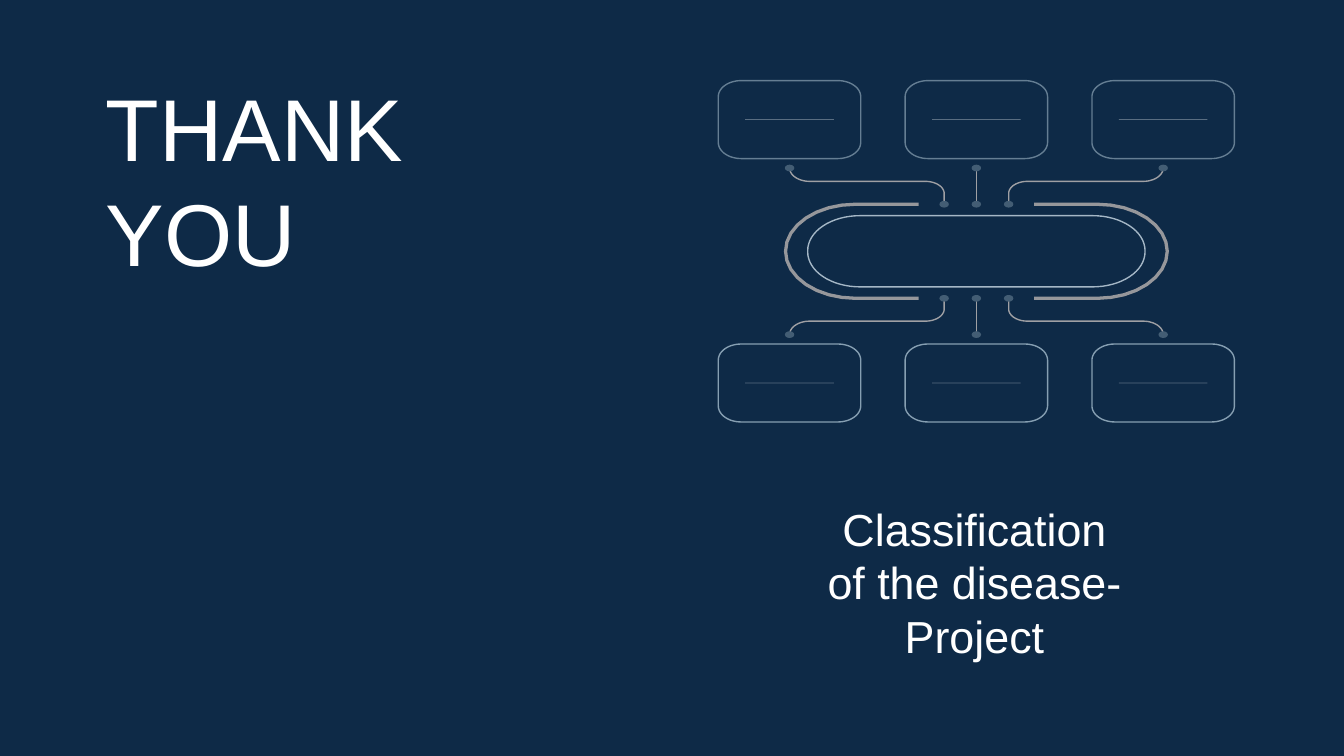
from math import cos, radians, sin

from lxml.etree import SubElement
from pptx import Presentation
from pptx.dml.color import RGBColor
from pptx.enum.shapes import MSO_CONNECTOR, MSO_SHAPE
from pptx.enum.text import MSO_ANCHOR, MSO_AUTO_SIZE, PP_ALIGN
from pptx.oxml.ns import qn
from pptx.util import Inches, Pt

COLORS = {
    "background": "0E2A47",
    "text": "FFFFFF",
    "pill": "A5B7C6",
    "bracket": "96979B",
    "link": "9FA0A4",
    "dot": "435D74",
    "top_box": "657E93",
    "bottom_box": "869FB2",
    "divider": "E3E9ED",
}
CENTER_X, CENTER_Y = 7.265, 1.87
COLUMN_STEP = 1.39
BOX_W, BOX_H = 1.06, 0.58
BOX_OFFSET = 0.98
INNER_DOT_X, INNER_DOT_Y, OUTER_DOT_Y = 0.24, 0.35, 0.62


def color(name):
    return RGBColor.from_string(COLORS[name])


def arc(cx, cy, rx, ry, start, end, steps=16):
    """Return points along an elliptical arc, with angles in degrees."""
    angles = [radians(start + (end - start) * i / steps) for i in range(steps + 1)]
    return [(cx + rx * cos(a), cy + ry * sin(a)) for a in angles]


def add_outline(shapes, points, line, width=0.75, close=False):
    """Draw an unfilled line through points measured from the diagram centre."""
    pts = [(Inches(CENTER_X + x), Inches(CENTER_Y + y)) for x, y in points]
    builder = shapes.build_freeform(*pts[0], scale=1.0)
    builder.add_line_segments(pts[1:], close=close)
    s = builder.convert_to_shape()
    s.shadow.inherit = False
    s.fill.background()
    s.line.color.rgb = color(line)
    s.line.width = Pt(width)


def add_rounded_box(shapes, x, y, w, h, rx, ry, line):
    """Draw a box centred on x, y with elliptical corners."""
    dx, dy = w / 2 - rx, h / 2 - ry
    corners = [(dx, dy), (-dx, dy), (-dx, -dy), (dx, -dy)]
    points = []
    for i, (cx, cy) in enumerate(corners):
        points += arc(x + cx, y + cy, rx, ry, 90 * i, 90 * (i + 1))
    add_outline(shapes, points, line, close=True)


def add_vertical_link(shapes, row):
    x = Inches(CENTER_X)
    c = shapes.add_connector(
        MSO_CONNECTOR.STRAIGHT,
        x, Inches(CENTER_Y + row * INNER_DOT_Y),
        x, Inches(CENTER_Y + row * OUTER_DOT_Y))
    c.line.color.rgb = color("link")
    c.line.width = Pt(0.6)
    SubElement(c._element.spPr, qn("a:effectLst"))


def add_filled(shapes, kind, x, y, w, h, fill):
    """Add a borderless preset shape centred on x, y."""
    s = shapes.add_shape(
        kind, Inches(CENTER_X + x - w / 2), Inches(CENTER_Y + y - h / 2),
        Inches(w), Inches(h))
    s.shadow.inherit = False
    s.fill.solid()
    s.fill.fore_color.rgb = color(fill)
    s.line.fill.background()


def add_dot(shapes, x, y):
    add_filled(shapes, MSO_SHAPE.OVAL, x, y, 0.07, 0.05, "dot")


def add_bracket(shapes, side):
    points = [(0.43, 0.35), *arc(0.9, 0, 0.52, 0.35, 90, -90), (0.43, -0.35)]
    add_outline(shapes, [(side * x, y) for x, y in points], "bracket", 1.75)


def add_link(shapes, column, row):
    """Link the centre to the box in column -1, 0 or 1 and row -1 or 1."""
    if column:
        points = [
            *arc(COLUMN_STEP - 0.15, OUTER_DOT_Y, 0.15, 0.1, 0, -90),
            *arc(INNER_DOT_X + 0.14, 0.43, 0.14, 0.09, 90, 180),
            (INNER_DOT_X, INNER_DOT_Y),
        ]
        add_outline(shapes, [(column * x, row * y) for x, y in points], "link")
    else:
        add_vertical_link(shapes, row)
    add_dot(shapes, column * INNER_DOT_X, row * INNER_DOT_Y)
    add_dot(shapes, column * COLUMN_STEP, row * OUTER_DOT_Y)


def add_diagram(slide):
    shapes = slide.shapes.add_group_shape().shapes
    add_rounded_box(shapes, 0, 0, 2.51, 0.53, 0.39, 0.26, "pill")
    for side in (-1, 1):
        add_bracket(shapes, side)
    for row, line in ((-1, "top_box"), (1, "bottom_box")):
        y = row * BOX_OFFSET
        for column in (-1, 0, 1):
            x = column * COLUMN_STEP
            add_link(shapes, column, row)
            add_rounded_box(shapes, x, y, BOX_W, BOX_H, 0.17, 0.12, line)
            add_filled(shapes, MSO_SHAPE.RECTANGLE, x, y, 0.66, Pt(0.2).inches,
                       "divider")


def set_text(s, text, size, align):
    tf = s.text_frame
    tf.text = text
    tf.word_wrap = True
    tf.auto_size = MSO_AUTO_SIZE.NONE
    tf.vertical_anchor = MSO_ANCHOR.TOP
    tf.margin_left = tf.margin_right = Inches(0.1)
    tf.margin_top = tf.margin_bottom = Inches(0.1)
    for p in tf.paragraphs:
        p.alignment = align
        p.line_spacing = 1.0
        for r in p.runs:
            r.font.name = "Arial"
            r.font.size = Pt(size)
            r.font.color.rgb = color("text")


def main():
    prs = Presentation()
    prs.slide_width = Inches(10)
    prs.slide_height = prs.slide_width * 9 // 16
    slide = prs.slides.add_slide(prs.slide_layouts[5])
    slide.background.fill.solid()
    slide.background.fill.fore_color.rgb = color("background")

    title = slide.shapes.title
    title.left, title.top = Inches(5.99), Inches(3.63)
    title.width, title.height = Inches(2.52), Inches(1.29)
    set_text(title, "Classification of the disease- Project", 24, PP_ALIGN.CENTER)

    thanks = slide.shapes.add_textbox(
        Inches(0.69), Inches(0.45), Inches(3.98), Inches(1.78))
    set_text(thanks, "THANK\nYOU", 47, PP_ALIGN.LEFT)

    add_diagram(slide)
    prs.save("out.pptx")


if __name__ == "__main__":
    main()
